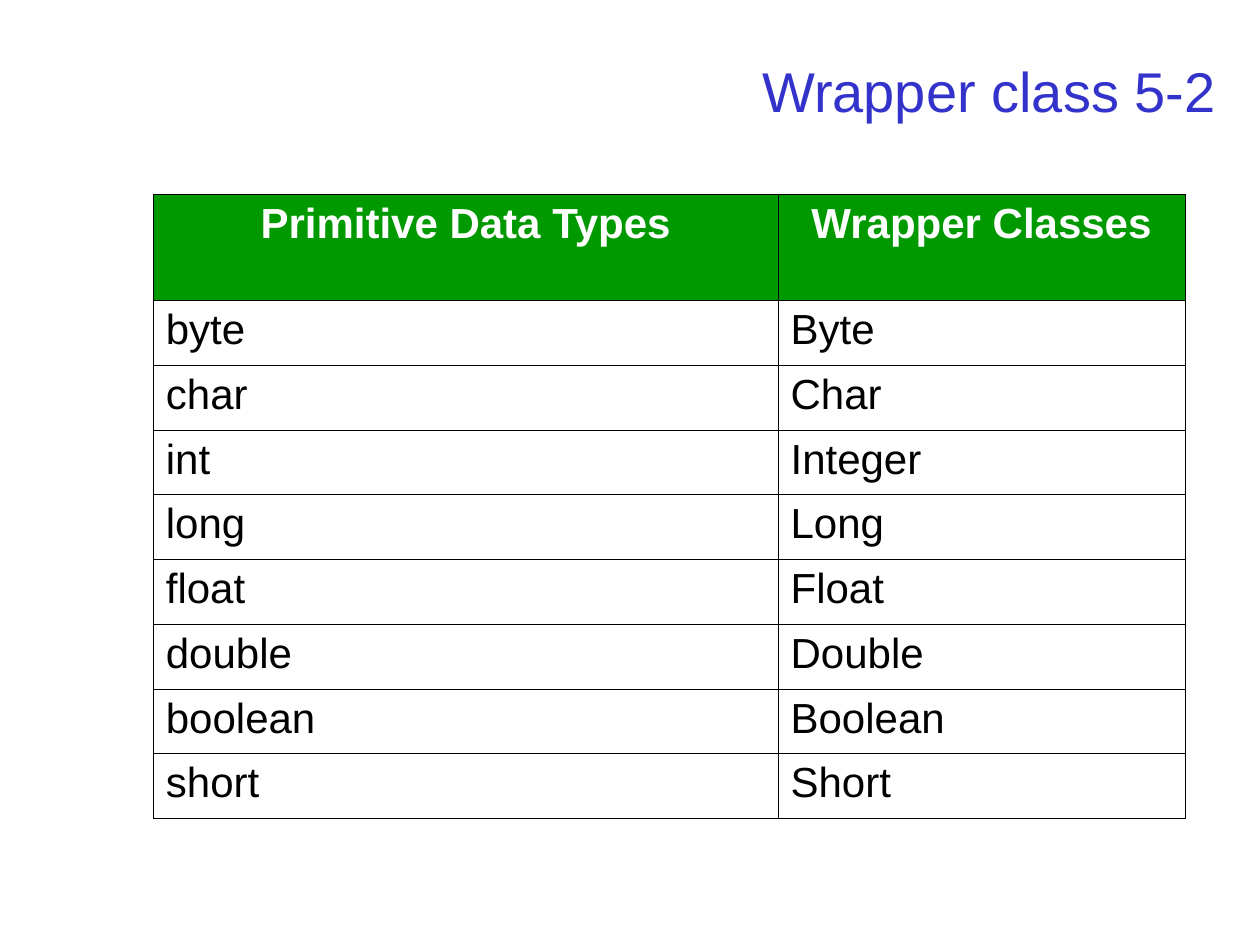
from typing import NamedTuple

from lxml import etree
from pptx import Presentation
from pptx.dml.color import RGBColor
from pptx.enum.text import MSO_ANCHOR, PP_ALIGN
from pptx.oxml.ns import qn
from pptx.util import Pt

RIGHT, CENTER, JUSTIFY = PP_ALIGN.RIGHT, PP_ALIGN.CENTER, PP_ALIGN.JUSTIFY
MIDDLE = MSO_ANCHOR.MIDDLE

BLUE = RGBColor(0x33, 0x33, 0xCC)
GREEN = RGBColor(0x00, 0x99, 0x00)
WHITE = RGBColor(0xFF, 0xFF, 0xFF)
BLACK = RGBColor(0x00, 0x00, 0x00)

FONT = "Arial"
BORDER_WIDTH = Pt(0.45)
COLUMN_WIDTHS = (357, 232.5)
HEADER_HEIGHT = 60.5
ROW_HEIGHT = 37


class TextStyle(NamedTuple):
    size: float
    color: RGBColor
    alignment: PP_ALIGN
    bold: bool = False


class TypePair(NamedTuple):
    primitive: str
    wrapper: str


TITLE_STYLE = TextStyle(32, BLUE, RIGHT)
HEADER_STYLE = TextStyle(24, WHITE, CENTER, True)
BODY_STYLE = TextStyle(24, BLACK, JUSTIFY)

HEADER = TypePair("Primitive Data Types", "Wrapper Classes")
TYPE_PAIRS = (
    TypePair("byte", "Byte"),
    TypePair("char", "Char"),
    TypePair("int", "Integer"),
    TypePair("long", "Long"),
    TypePair("float", "Float"),
    TypePair("double", "Double"),
    TypePair("boolean", "Boolean"),
    TypePair("short", "Short"),
)


def write_text(text_frame, text: str, style: TextStyle) -> None:
    text_frame.text = text
    paragraph = text_frame.paragraphs[0]
    paragraph.alignment = style.alignment
    font = paragraph.runs[0].font
    font.name = FONT
    font.size = Pt(style.size)
    font.bold = style.bold
    font.color.rgb = style.color


def add_borders(cell) -> None:
    properties = cell._tc.get_or_add_tcPr()
    for side in ("a:lnL", "a:lnR", "a:lnT", "a:lnB"):
        line = etree.SubElement(properties, qn(side), w=str(int(BORDER_WIDTH)))
        fill = etree.SubElement(line, qn("a:solidFill"))
        etree.SubElement(fill, qn("a:srgbClr"), val=str(BLACK))


def add_title(slide, text: str) -> None:
    title = slide.shapes.add_textbox(Pt(54), Pt(20), Pt(648), Pt(63))
    title.text_frame.word_wrap = True
    title.text_frame.vertical_anchor = MIDDLE
    write_text(title.text_frame, text, TITLE_STYLE)


def fill_row(row, pair: TypePair, height: float, style: TextStyle, fill: RGBColor | None) -> None:
    row.height = Pt(height)
    for cell, text in zip(row.cells, pair):
        write_text(cell.text_frame, text, style)
        add_borders(cell)
        if fill is None:
            cell.fill.background()
        else:
            cell.fill.solid()
            cell.fill.fore_color.rgb = fill


def add_type_table(slide) -> None:
    height = HEADER_HEIGHT + ROW_HEIGHT * len(TYPE_PAIRS)
    table = slide.shapes.add_table(
        len(TYPE_PAIRS) + 1, len(COLUMN_WIDTHS),
        Pt(87.6), Pt(111.2), Pt(sum(COLUMN_WIDTHS)), Pt(height),
    ).table
    table.first_row = False
    table.horz_banding = False
    for column, width in zip(table.columns, COLUMN_WIDTHS):
        column.width = Pt(width)
    header_row, *body_rows = table.rows
    fill_row(header_row, HEADER, HEADER_HEIGHT, HEADER_STYLE, GREEN)
    for row, pair in zip(body_rows, TYPE_PAIRS):
        fill_row(row, pair, ROW_HEIGHT, BODY_STYLE, None)


def main() -> None:
    presentation = Presentation()
    presentation.slide_width = Pt(720)
    presentation.slide_height = Pt(540)
    slide = presentation.slides.add_slide(presentation.slide_layouts[6])
    add_title(slide, "Wrapper class 5-2")
    add_type_table(slide)
    presentation.save("out.pptx")


if __name__ == "__main__":
    main()
